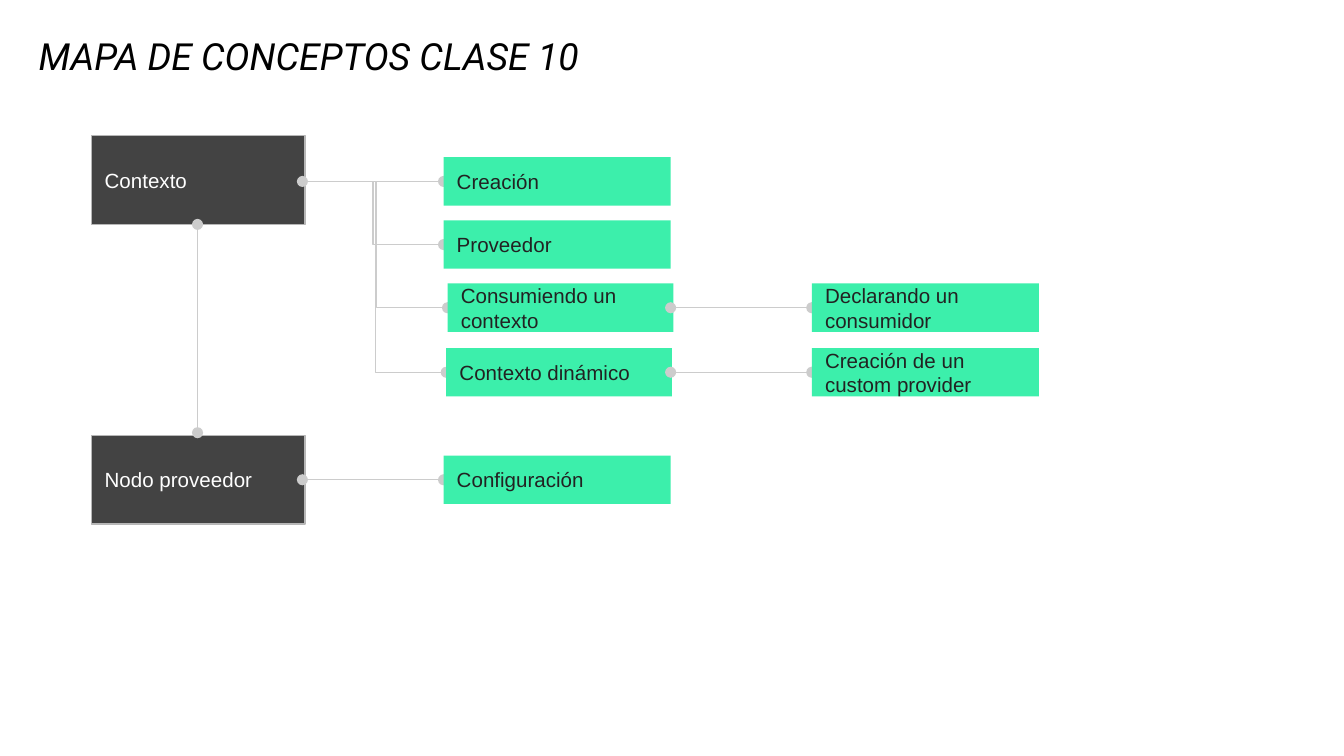
"""Builds the concept map slide for class 10."""
from lxml.etree import SubElement
from pptx import Presentation
from pptx.dml.color import RGBColor
from pptx.enum.shapes import MSO_CONNECTOR as Connector, MSO_SHAPE as Shape
from pptx.enum.text import MSO_ANCHOR as Anchor, PP_ALIGN as Align
from pptx.oxml.ns import qn
from pptx.util import Inches, Pt

COLORS = {
    "title": "000000",
    "node": "434343",
    "node_line": "B7B7B7",
    "node_text": "FFFFFF",
    "topic": "3CEFAB",
    "topic_text": "222222",
    "link": "CCCCCC",
}
NODE_LEFT, NODE_WIDTH, NODE_HEIGHT = 0.68, 1.59, 0.66
NODES = [("Contexto", 1.01), ("Nodo proveedor", 3.24)]
TOPIC_HEIGHT = 0.36
CONTEXT_Y = 1.35
TOPICS = [
    ("Creación", 3.3, 1.17, 1.69, (2.25, CONTEXT_Y)),
    ("Proveedor", 3.3, 1.64, 1.69, (2.25, CONTEXT_Y)),
    ("Consumiendo un contexto", 3.33, 2.11, 1.68, (2.27, CONTEXT_Y)),
    ("Contexto dinámico", 3.32, 2.59, 1.68, (2.27, CONTEXT_Y)),
    ("Declarando un consumidor", 6.04, 2.11, 1.69, (4.99, 2.29)),
    ("Configuración", 3.3, 3.39, 1.69, (2.25, 3.57)),
    ("Creación de un custom provider", 6.04, 2.59, 1.69, (4.99, 2.77)),
]


def color(name):
    """Return the named colour."""
    return RGBColor.from_string(COLORS[name])


def write_text(shape, text, size, font_name, color_name, anchor, italic=False):
    """Fill a shape with one left-aligned paragraph of formatted text."""
    frame = shape.text_frame
    frame.text = text
    frame.word_wrap = True
    frame.vertical_anchor = anchor
    frame.margin_left = frame.margin_right = Inches(0.1)
    frame.margin_top = frame.margin_bottom = Inches(0.1)
    paragraph = frame.paragraphs[0]
    paragraph.alignment = Align.LEFT
    font = paragraph.runs[0].font
    font.size = Pt(size)
    font.name = font_name
    font.italic = italic
    font.color.rgb = color(color_name)


def add_title(slide, text):
    """Add the slide title."""
    box = slide.shapes.add_textbox(Inches(0.19), Inches(0.22), Inches(8.26), Inches(0.46))
    write_text(box, text, 20, "Roboto", "title", Anchor.BOTTOM, italic=True)


def add_box(slide, text, left, top, width, height, kind):
    """Add a filled rectangle with a label."""
    shape = slide.shapes.add_shape(
        Shape.RECTANGLE, Inches(left), Inches(top), Inches(width), Inches(height))
    shape.shadow.inherit = False
    shape.fill.solid()
    shape.fill.fore_color.rgb = color(kind)
    if kind == "node":
        shape.line.color.rgb = color("node_line")
        shape.line.width = Pt(0.75)
    else:
        shape.line.fill.background()
    write_text(shape, text, 11, "Arial", f"{kind}_text", Anchor.MIDDLE)


def add_link(slide, start, end):
    """Join two points, with an elbow and a single dot when both axes differ."""
    straight = start[0] == end[0] or start[1] == end[1]
    link = slide.shapes.add_connector(
        Connector.STRAIGHT if straight else Connector.ELBOW,
        *(Inches(value) for value in (*start, *end)))
    link.line.color.rgb = color("link")
    link.line.width = Pt(0.75)
    properties = link._element.spPr
    outline = properties.find(qn("a:ln"))
    for tag in ("a:headEnd", "a:tailEnd") if straight else ("a:tailEnd",):
        SubElement(outline, qn(tag), type="oval")
    SubElement(properties, qn("a:effectLst"))


def add_topic(slide, text, left, top, width, start):
    """Add a topic box and the link that leads to it."""
    add_link(slide, start, (left, round(top + TOPIC_HEIGHT / 2, 2)))
    add_box(slide, text, left, top, width, TOPIC_HEIGHT, "topic")


def main():
    """Build and save the slide."""
    presentation = Presentation()
    presentation.slide_width = Inches(10)
    presentation.slide_height = Inches(10) * 9 // 16
    slide = presentation.slides.add_slide(presentation.slide_layouts[6])
    add_title(slide, "MAPA DE CONCEPTOS CLASE 10")
    for text, top in NODES:
        add_box(slide, text, NODE_LEFT, top, NODE_WIDTH, NODE_HEIGHT, "node")
    add_link(slide, (1.47, 1.67), (1.47, 3.22))
    for topic in TOPICS:
        add_topic(slide, *topic)
    presentation.save("out.pptx")


if __name__ == "__main__":
    main()
